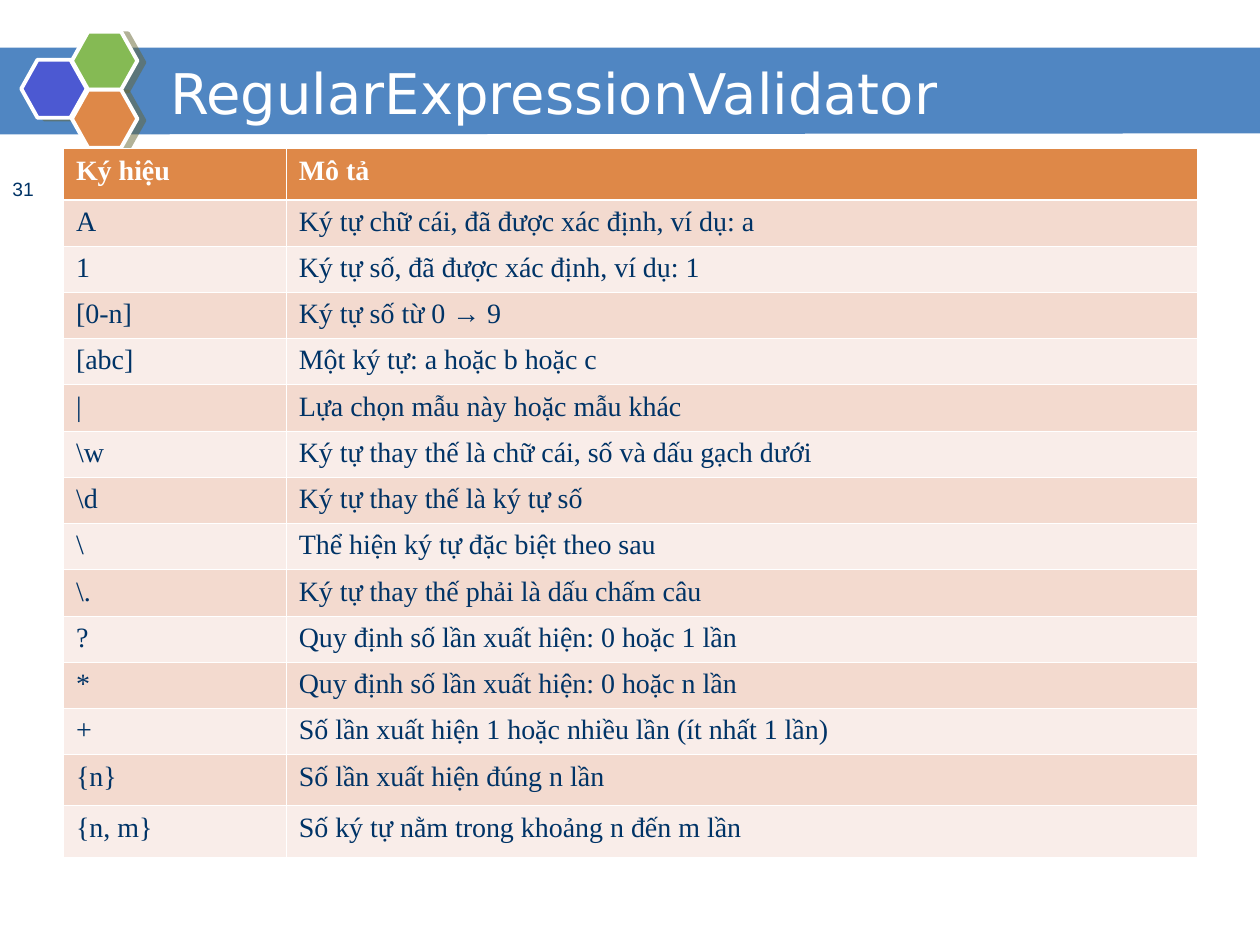
from lxml import etree
from pptx import Presentation
from pptx.dml.color import RGBColor
from pptx.enum import shapes, text
from pptx.oxml import parse_xml
from pptx.oxml.ns import nsdecls, qn
from pptx.util import Cm, Pt

WHITE, NAVY, BLUE, ORANGE = "FFFFFF", "003366", "5086C2", "DE8848"
BANDS = ("F3DACF", "F9EDE9")
SYMBOLS = [
    ("Ký hiệu", "Mô tả"),
    ("A", "Ký tự chữ cái, đã được xác định, ví dụ: a"),
    ("1", "Ký tự số, đã được xác định, ví dụ: 1"),
    ("[0-n]", "Ký tự số từ 0 → 9"),
    ("[abc]", "Một ký tự: a hoặc b hoặc c"),
    ("|", "Lựa chọn mẫu này hoặc mẫu khác"),
    ("\\w", "Ký tự thay thế là chữ cái, số và dấu gạch dưới"),
    ("\\d", "Ký tự thay thế là ký tự số"),
    ("\\", "Thể hiện ký tự đặc biệt theo sau"),
    ("\\.", "Ký tự thay thế phải là dấu chấm câu"),
    ("?", "Quy định số lần xuất hiện: 0 hoặc 1 lần"),
    ("*", "Quy định số lần xuất hiện: 0 hoặc n lần"),
    ("+", "Số lần xuất hiện 1 hoặc nhiều lần (ít nhất 1 lần)"),
    ("{n}", "Số lần xuất hiện đúng n lần"),
    ("{n, m}", "Số ký tự nằm trong khoảng n đến m lần"),
]


def paint(color_holder, color):
    """Set a solid fill, taking the colour as a hex string."""
    color_holder.solid()
    color_holder.fore_color.rgb = RGBColor.from_string(color)


def write(frame, words, size, face, color, bold=False):
    frame.text = words
    font = frame.paragraphs[0].runs[0].font
    font.size, font.name, font.bold = Pt(size), face, bold
    paint(font.fill, color)


def add_label(slide, box, words, size, face, color, anchor):
    frame = slide.shapes.add_textbox(*map(Cm, box)).text_frame
    frame.word_wrap = True
    frame.vertical_anchor = anchor
    write(frame, words, size, face, color)
    return frame.paragraphs[0]


def add_band(slide, left, top, width, height):
    """The lower edge rises slightly towards the right."""
    right, bottom = left + width, top + height
    corners = [(right, top), (right, bottom - 0.02), (left, bottom)]
    builder = slide.shapes.build_freeform(Cm(left), Cm(top))
    builder.add_line_segments([(Cm(x), Cm(y)) for x, y in corners])
    band = builder.convert_to_shape()
    band.shadow.inherit = False
    paint(band.fill, BLUE)
    band.line.fill.background()


def cast_shadow(shape):
    shape.shadow.inherit = False
    effects = shape._element.spPr.find(qn("a:effectLst"))
    effects.append(parse_xml(
        f'<a:outerShdw {nsdecls("a")} dist="52070" dir="840000" algn="ctr" rotWithShape="0">'
        '<a:srgbClr val="666633"><a:alpha val="50000"/></a:srgbClr></a:outerShdw>'))


def add_honeycomb(slide, left, top):
    width, height, step = 1.32, 1.17, 1.02
    cells = [(0, height / 2 - 0.02, "4C59D2"), (step, 0, "85BA54"), (step, height, ORANGE)]
    group = slide.shapes.add_group_shape()
    for dx, dy, color in cells:
        hexagon = group.shapes.add_shape(
            shapes.MSO_SHAPE.HEXAGON, Cm(left + dx), Cm(top + dy), Cm(width), Cm(height))
        hexagon.adjustments[0] = 0.28
        paint(hexagon.fill, color)
        paint(hexagon.line.fill, WHITE)
        hexagon.line.width = Pt(2.25)
        cast_shadow(hexagon)


def set_borders(cell, widths):
    """Draw white borders; widths are points for left, right, top, bottom."""
    properties = cell._tc.get_or_add_tcPr()
    for index, (side, width) in enumerate(zip("LRTB", widths)):
        border = etree.Element(qn(f"a:ln{side}"), w=str(Pt(width)))
        solid = etree.SubElement(border, qn("a:solidFill"))
        etree.SubElement(solid, qn("a:srgbClr"), val=WHITE)
        properties.insert(index, border)


def add_symbol_table(slide, left, top, width):
    thin, thick, symbol_width = 0.45, 1.47, 4.49
    heights = [1.03] + [0.93] * 12 + [1.03] * 2
    table = slide.shapes.add_table(
        len(SYMBOLS), 2, Cm(left), Cm(top), Cm(width), Cm(sum(heights))).table
    table.horz_banding = False
    table.columns[0].width = Cm(symbol_width)
    table.columns[1].width = Cm(width - symbol_width)
    for r, (entry, height) in enumerate(zip(SYMBOLS, heights)):
        table.rows[r].height = Cm(height)
        header = r == 0
        for cell, words in zip(table.rows[r].cells, entry):
            write(cell.text_frame, words, 16, "Times New Roman",
                  WHITE if header else NAVY, bold=header)
            paint(cell.fill, ORANGE if header else BANDS[(r - 1) % 2])
            set_borders(cell, (thin, thin, thick if r == 1 else thin, thick if header else thin))


def main():
    deck = Presentation()
    deck.slide_width, deck.slide_height = Cm(25.4), Cm(19.05)
    slide = deck.slides.add_slide(deck.slide_layouts[6])
    add_band(slide, -0.02, 0.96, 25.42, 1.75)
    add_honeycomb(slide, 0.43, 0.64)
    add_label(slide, (3.18, 1.07, 18.62, 1.57), "RegularExpressionValidator",
              32, "DejaVu Sans", WHITE, text.MSO_ANCHOR.MIDDLE)
    add_symbol_table(slide, 1.28, 3, 22.86)
    page_number = add_label(slide, (0, 3.53, 1.47, 0.69), "31", 11, "Arial", NAVY,
                            text.MSO_ANCHOR.TOP)
    page_number.line_spacing = 0.8
    deck.save("out.pptx")


if __name__ == "__main__":
    main()
